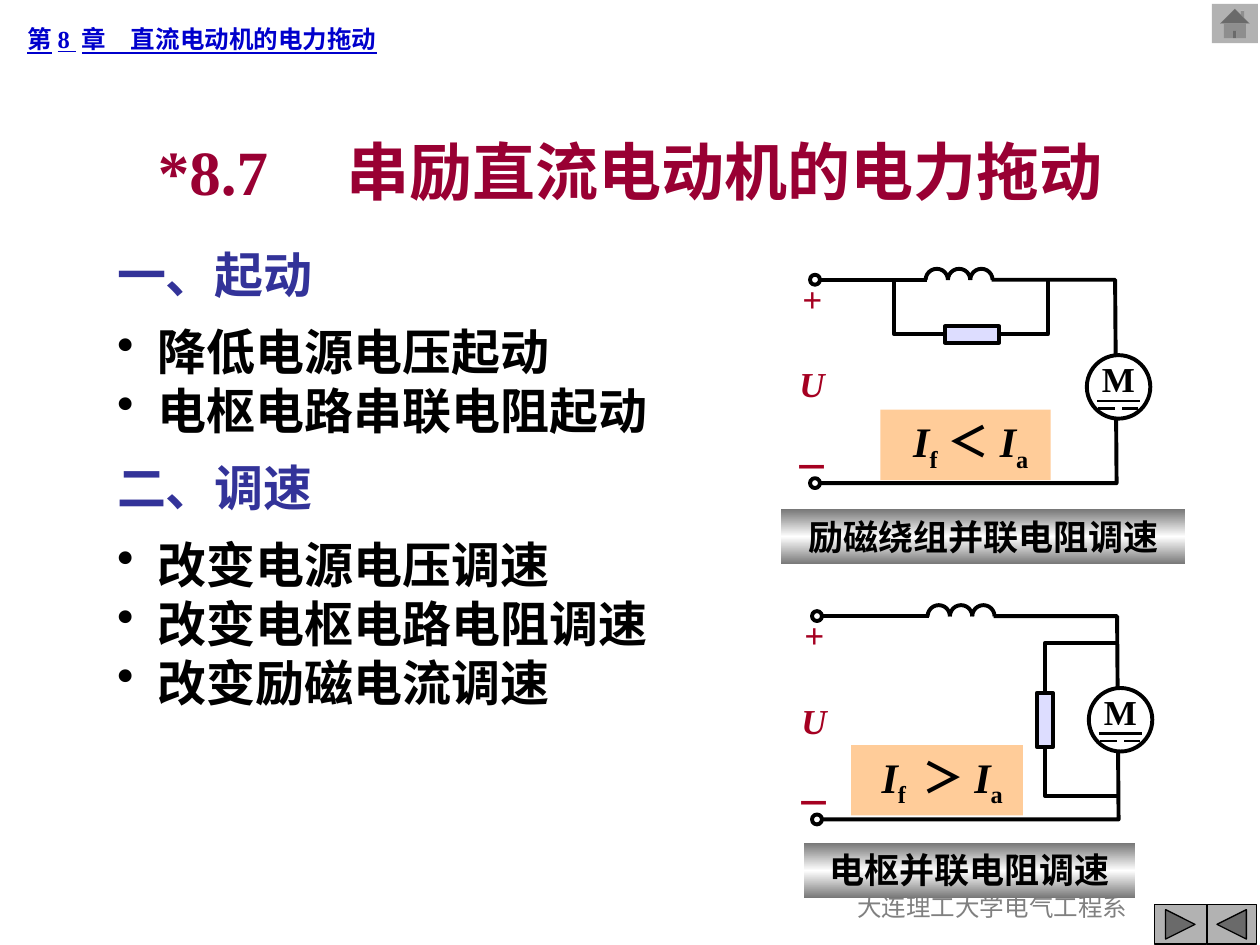
from copy import deepcopy

from lxml import etree
from pptx import Presentation
from pptx import util as u
from pptx.dml import color as dml
from pptx.enum import shapes as kinds, text as txt
from pptx.oxml import ns

FONT = "Times New Roman"
BLACK, WHITE, RED, BLUE = "000000", "FFFFFF", "A50021", "333399"
SHAPE = kinds.MSO_SHAPE
CENTER, LEFT = txt.PP_ALIGN.CENTER, txt.PP_ALIGN.LEFT
MIDDLE, TOP = txt.MSO_ANCHOR.MIDDLE, txt.MSO_ANCHOR.TOP


def rgb(value):
    """Turn a hex string into a colour."""
    return dml.RGBColor.from_string(value)


def set_bullet(paragraph, color):
    """Give a paragraph a round bullet and a hanging indent."""
    properties = paragraph._p.get_or_add_pPr()
    properties.set("marL", str(u.Cm(0.82)))
    properties.set("indent", str(-u.Cm(0.82)))
    holder = etree.SubElement(properties, ns.qn("a:buClr"))
    etree.SubElement(holder, ns.qn("a:srgbClr"), val=color)
    etree.SubElement(properties, ns.qn("a:buChar"), char="•")


def write(shape, text, size=20, color=BLACK, bold=True, italic=False, underline=False,
          subscript=False, align=LEFT, before=0, bullet=False, join=False):
    """Write a paragraph into a shape, or join a run to its last paragraph."""
    frame = shape.text_frame
    paragraph = frame.paragraphs[-1]
    if not join:
        if paragraph.runs:
            paragraph = frame.add_paragraph()
        paragraph.alignment = align
        paragraph.space_before = u.Pt(before)
        if bullet:
            set_bullet(paragraph, color)
    run = paragraph.add_run()
    run.text = text
    font = run.font
    font.name, font.size = FONT, u.Pt(size)
    font.bold, font.italic, font.underline = bold, italic, underline
    font.color.rgb = rgb(color)
    if subscript:
        font._element.set("baseline", "-25000")


def text_box(shapes, x, y, width, height, anchor=TOP, wrap=True):
    """Add an empty text box."""
    box = shapes.add_textbox(u.Cm(x), u.Cm(y), u.Cm(width), u.Cm(height))
    box.text_frame.word_wrap = wrap
    box.text_frame.vertical_anchor = anchor
    return box


def style(shape, fill=None, line=None, weight=2.25):
    """Set the fill and outline of a shape and drop its shadow."""
    shape.shadow.inherit = False
    if fill:
        shape.fill.solid()
        shape.fill.fore_color.rgb = rgb(fill)
    else:
        shape.fill.background()
    if line:
        shape.line.color.rgb = rgb(line)
        shape.line.width = u.Pt(weight)
    else:
        shape.line.fill.background()


def preset(shapes, kind, x, y, width, height, **look):
    """Add a styled preset shape."""
    shape = shapes.add_shape(kind, u.Cm(x), u.Cm(y), u.Cm(width), u.Cm(height))
    shape.text_frame.vertical_anchor = TOP
    style(shape, **look)
    return shape


def line(shapes, x1, y1, x2, y2, weight=2.25):
    """Add a straight black line."""
    connector = shapes.add_connector(
        kinds.MSO_CONNECTOR.STRAIGHT, u.Cm(x1), u.Cm(y1), u.Cm(x2), u.Cm(y2))
    connector.line.color.rgb = rgb(BLACK)
    connector.line.width = u.Pt(weight)
    etree.SubElement(connector._element.spPr, ns.qn("a:effectLst"))


def wire(shapes, *points):
    """Add an open wire with corners at the given points."""
    corners = [(u.Cm(x), u.Cm(y)) for x, y in points]
    builder = shapes.build_freeform(*corners[0])
    builder.add_line_segments(corners[1:], close=False)
    style(builder.convert_to_shape(), line=BLACK)


def caption(shapes, text, x, y, width):
    """Add a caption bar with a grey-white-grey gradient."""
    bar = preset(shapes, SHAPE.RECTANGLE, x, y, width, 1.12)
    bar.fill.gradient()
    bar.fill.gradient_angle = 90
    first = bar._element.spPr.find(".//" + ns.qn("a:gs"))
    first.addnext(deepcopy(first))
    colors = ("767676", WHITE, "767676")
    for stop, position, color in zip(bar.fill.gradient_stops, (0, 0.5, 1), colors):
        stop.position = position
        stop.color.rgb = rgb(color)
    write(bar, text, align=CENTER)


def comparison(shapes, field, sign, x, y, width):
    """Add a box comparing field and armature current."""
    box = preset(shapes, SHAPE.RECTANGLE, x, y, width, 1.42, fill="FFCC99")
    box.text_frame.margin_left = u.Cm(0.46)
    write(box, "I", size=24, italic=True, align=CENTER)
    write(box, field, size=24, subscript=True, join=True)
    write(box, sign, size=24, join=True)
    write(box, "I", size=24, italic=True, join=True)
    write(box, "a", size=24, subscript=True, join=True)


def bypass(shapes, points, resistor):
    """Add a wire branch with a resistor on it."""
    group = shapes.add_group_shape().shapes
    wire(group, *points)
    preset(group, SHAPE.RECTANGLE, *resistor, fill="DDDDFF", line=BLACK)


def motor(shapes, x, y):
    """Add a direct-current motor symbol."""
    preset(shapes, SHAPE.OVAL, x, y, 1.28, 1.28, fill=WHITE, line=BLACK)
    write(text_box(shapes, x + 0.05, y - 0.08, 1.17, 1.12, wrap=False), "M", align=CENTER)
    for start, end, drop in ((0.2, 1.07, 0.92), (0.71, 1.04, 1.07), (0.23, 0.56, 1.07)):
        line(shapes, x + start, y + drop, x + end, y + drop, weight=1.5)


def circuit(shapes, x, y, motor_y):
    """Add a series motor circuit whose upper terminal is centred at x, y."""
    group = shapes.add_group_shape().shapes
    bottom = y + 4.1
    wire(group, (x + 0.1, bottom), (x + 6.08, bottom), (x + 6.05, y), (x + 3.56, y))
    for terminal_y in (y, bottom):
        preset(group, SHAPE.OVAL, x - 0.1, terminal_y - 0.1, 0.2, 0.2, line=BLACK)
    line(group, x + 0.1, y, x + 2.25, y)
    for turn in range(3):
        arc = preset(group, SHAPE.ARC, x + 2.23 + 0.45 * turn, y - 0.22, 0.45, 0.45, line=BLACK)
        arc.adjustments[0] = 108
    polarity = text_box(group, x - 0.67, y - 0.18, 1.22, 4.5, wrap=False)
    write(polarity, "+", color=RED, italic=True, align=CENTER)
    write(polarity, "U", color=RED, italic=True, align=CENTER, before=25)
    write(polarity, "－", color=RED, align=CENTER, before=23)
    motor(group, x + 5.48, motor_y)


def outline(shapes):
    """Add the list of starting and speed control methods."""
    sections = (
        ("一、起动", ("降低电源电压起动", "电枢电路串联电阻起动")),
        ("二、调速", ("改变电源电压调速", "改变电枢电路电阻调速", "改变励磁电流调速")),
    )
    box = text_box(shapes, 2.11, 4.8, 11.68, 9.68)
    for number, (heading, items) in enumerate(sections):
        write(box, heading, size=28, color=BLUE, before=10.5 if number else 0)
        for place, item in enumerate(items):
            write(box, item, size=28, bullet=True, before=0 if place else 10.5)


def main():
    """Build the slide and save it."""
    presentation = Presentation()
    presentation.slide_width, presentation.slide_height = u.Cm(25.4), u.Cm(19.05)
    shapes = presentation.slides.add_slide(presentation.slide_layouts[6]).shapes

    write(text_box(shapes, 15.98, 17.86, 8.05, 1.27), "大连理工大学电气工程系",
          size=14, color="808080", bold=False, align=CENTER)
    write(text_box(shapes, 1.9, 2.54, 21.6, 1.78, anchor=MIDDLE),
          "*8.7　串励直流电动机的电力拖动", size=36, color="990033", align=CENTER)
    write(text_box(shapes, 0.3, 0.36, 8.1, 0.86, anchor=MIDDLE),
          "第8 章　直流电动机的电力拖动", size=14, color="0000CC", underline=True)

    gray = "B2B2B2"
    preset(shapes, SHAPE.ACTION_BUTTON_FORWARD_OR_NEXT, 23.27, 18.24, 1.05, 0.79,
           fill=gray, line=BLACK, weight=0.75)
    preset(shapes, SHAPE.ACTION_BUTTON_BACK_OR_PREVIOUS, 24.33, 18.24, 1, 0.79,
           fill=gray, line=BLACK, weight=0.75)
    preset(shapes, SHAPE.ACTION_BUTTON_HOME, 24.43, 0.08, 0.93, 0.79, fill=gray)

    outline(shapes)
    bypass(shapes, ((18.03, 5.66), (18.03, 6.74), (21.12, 6.74), (21.12, 5.66)),
           (19.05, 6.58, 1.09, 0.33))
    caption(shapes, "励磁绕组并联电阻调速", 15.75, 10.26, 8.15)
    bypass(shapes, ((22.53, 12.96), (21.07, 12.96), (21.07, 16.05), (22.53, 16.05)),
           (20.9, 13.97, 0.33, 1.09))
    caption(shapes, "电枢并联电阻调速", 16.21, 16.99, 6.68)
    comparison(shapes, "f", "＜", 17.75, 8.26, 3.43)
    comparison(shapes, "f ", "＞", 17.16, 15.02, 3.46)
    circuit(shapes, 16.43, 5.64, motor_y=7.16)
    circuit(shapes, 16.47, 12.42, motor_y=13.87)

    presentation.save("out.pptx")


if __name__ == "__main__":
    main()
